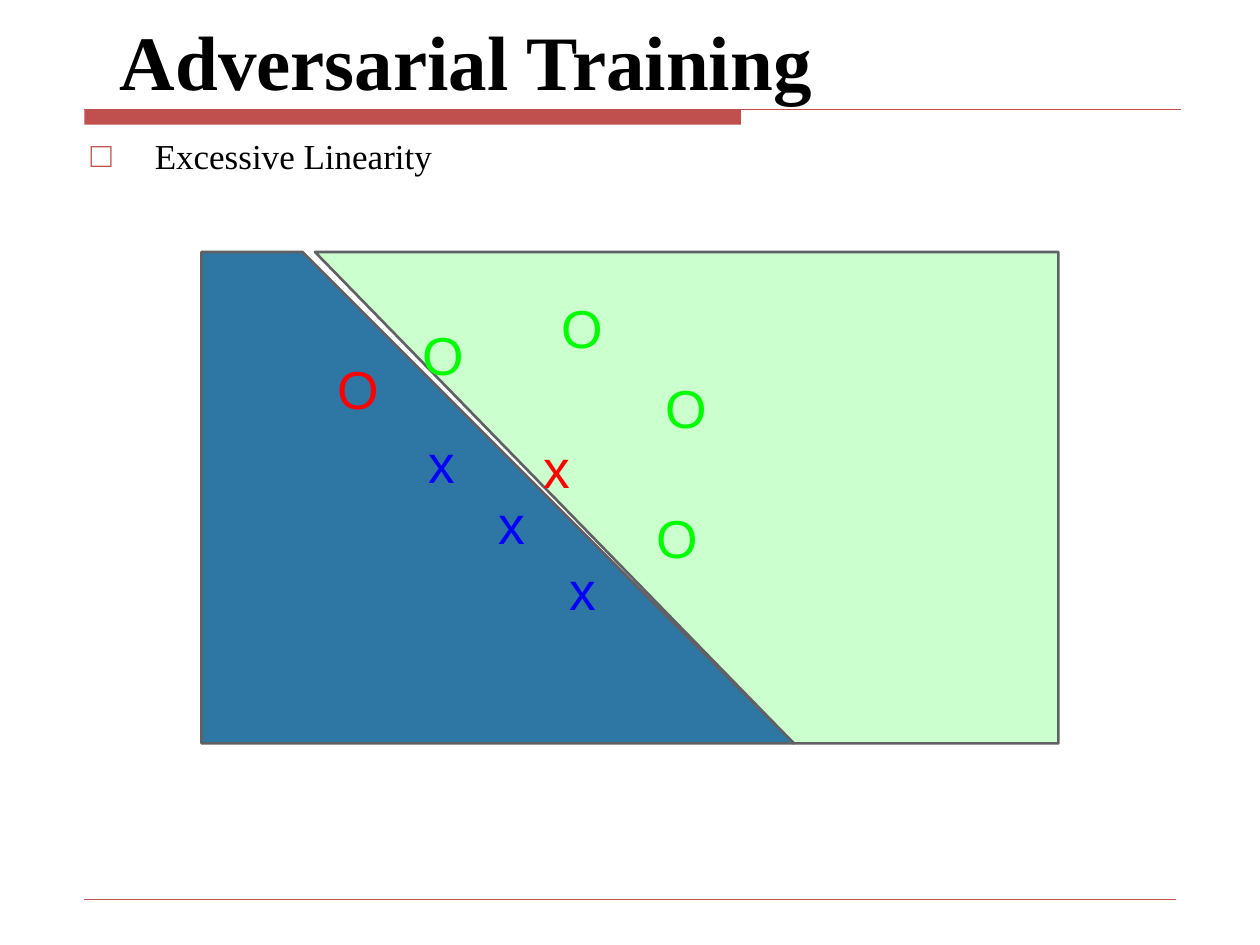
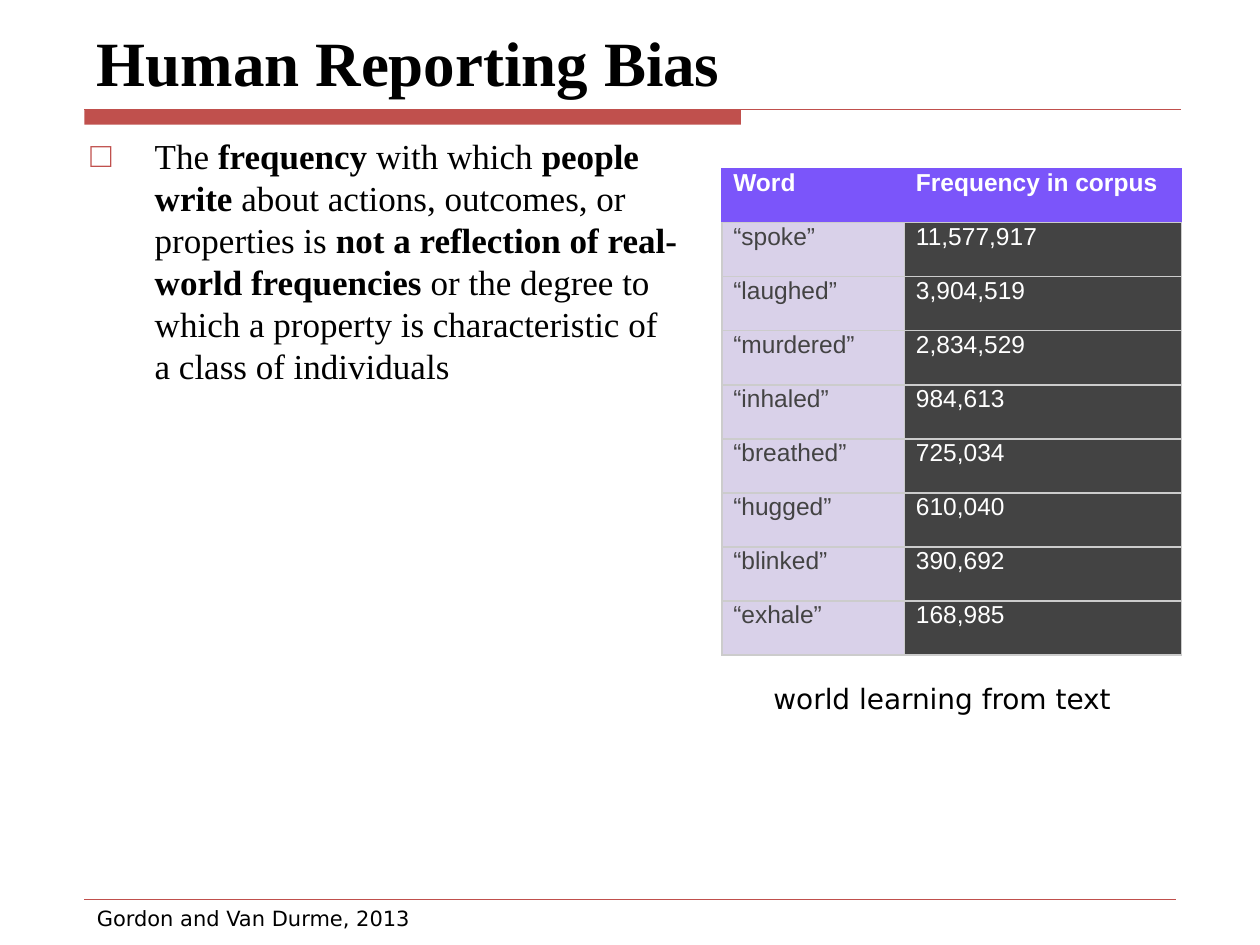
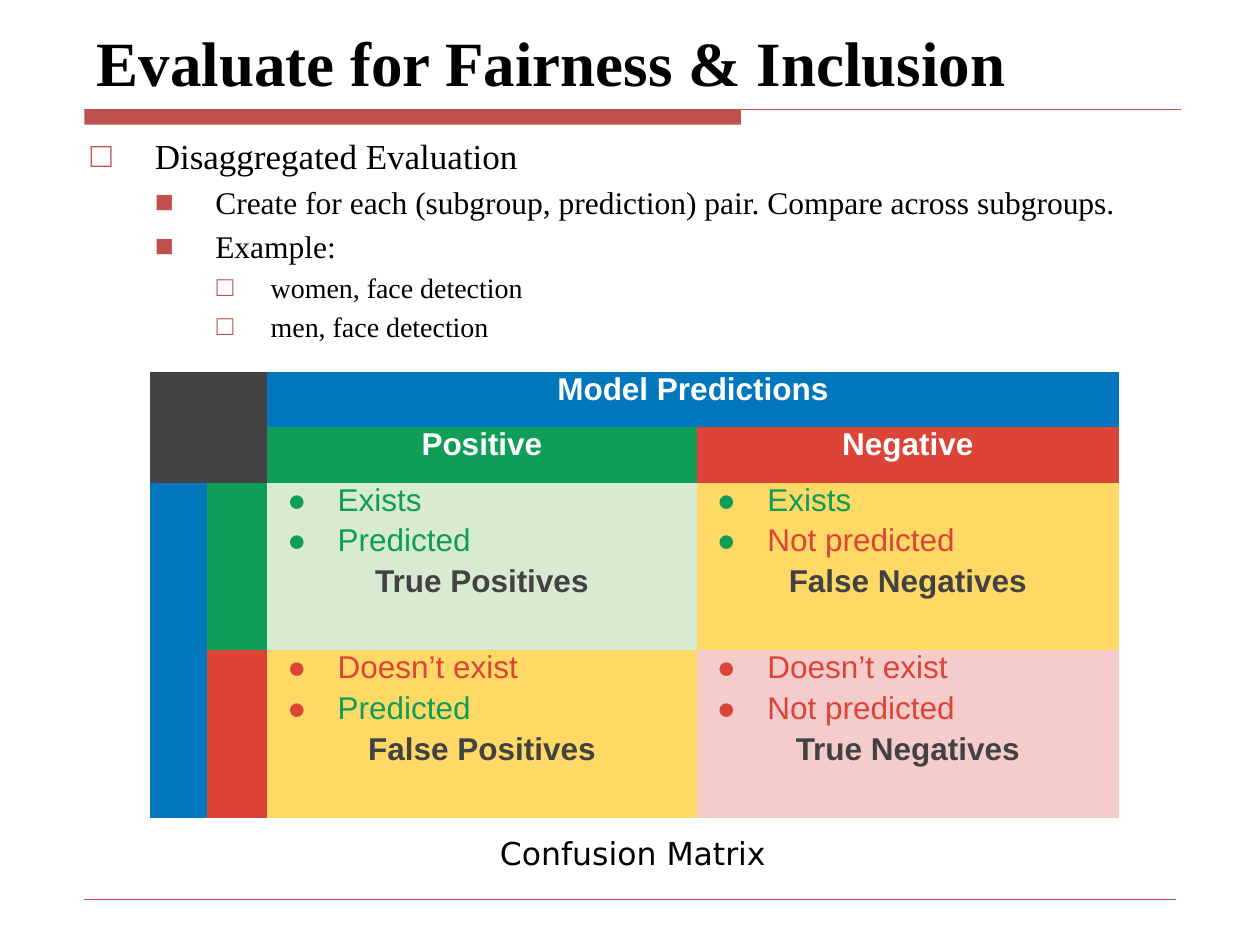
from dataclasses import dataclass

from lxml import etree
from pptx import Presentation
from pptx.dml.color import RGBColor
from pptx.enum.shapes import MSO_CONNECTOR, MSO_SHAPE
from pptx.enum.text import MSO_ANCHOR, PP_ALIGN
from pptx.oxml.ns import qn
from pptx.util import Emu, Inches, Pt

RECTANGLE = MSO_SHAPE.RECTANGLE
STRAIGHT = MSO_CONNECTOR.STRAIGHT
TOP, BOTTOM = MSO_ANCHOR.TOP, MSO_ANCHOR.BOTTOM
LEFT, CENTER = PP_ALIGN.LEFT, PP_ALIGN.CENTER
PLAIN_TABLE_STYLE = "{2D5ABB26-0587-4C30-8999-92F81FD0307C}"


@dataclass(frozen=True)
class Theme:
    serif: str = "Times New Roman"
    sans: str = "Arial"
    caption: str = "DejaVu Sans"
    black: str = "000000"
    white: str = "FFFFFF"
    accent: str = "C0504D"
    outline: str = "5F6165"
    dark: str = "434343"
    summary: str = "424242"
    grid_line: str = "CCCCCC"
    purple: str = "7B55FA"
    lilac: str = "D9D1E9"
    sea: str = "2E76A4"
    mint: str = "CBFFCD"
    blue_mark: str = "0000FF"
    green_mark: str = "00FF00"
    red_mark: str = "FF0000"
    blue: str = "0277BD"
    green: str = "0F9D58"
    red: str = "DB4437"
    pale_green: str = "D9EAD3"
    yellow: str = "FFD966"
    pale_red: str = "F4CCCC"
    title_size: float = 36
    large_title_size: float = 44
    body_sizes: tuple = (20, 18, 16)
    mark_size: float = 30.5
    word_size: float = 14
    matrix_size: float = 18


THEME = Theme()

# The slide is a grid of 100 columns by 75 rows of square units
COLUMNS, ROWS = 100, 75
UNIT = Inches(10) // COLUMNS
MARGIN = 6.7
RULE_RIGHT = 93.7
BODY_TOP = 10.2

# Bullet character, left indent and hanging indent (grid units) by level
BULLETS = (("□", 5.1, 5.1), ("■", 9.9, 4.8), ("□", 14.3, 4.3))


def grid(units):
    return Emu(round(units * UNIT))


def rgb(value):
    return RGBColor.from_string(value)


def set_font(font, name, size, color, bold=False):
    font.name, font.size, font.bold = name, Pt(size), bold
    font.color.rgb = rgb(color)


def add_bullet(paragraph, character, indent, hanging, color, font_name):
    properties = paragraph._p.get_or_add_pPr()
    properties.set("marL", str(grid(indent)))
    properties.set("indent", str(-grid(hanging)))
    bullet_color = etree.SubElement(properties, qn("a:buClr"))
    etree.SubElement(bullet_color, qn("a:srgbClr"), val=color)
    etree.SubElement(properties, qn("a:buFont"), typeface=font_name)
    etree.SubElement(properties, qn("a:buChar"), char=character)


def paragraphs_for(frame, count):
    """Give the frame exactly this many paragraphs."""
    return [frame.paragraphs[0]] + [frame.add_paragraph() for _ in range(count - 1)]


# Text elements
def add_frame(slide, left, top, width, height, wrap=True, anchor=TOP, inset=None):
    box = slide.shapes.add_textbox(*map(grid, (left, top, width, height)))
    frame = box.text_frame
    frame.word_wrap, frame.vertical_anchor = wrap, anchor
    if inset is not None:
        frame.margin_left = grid(inset)
        frame.margin_right = frame.margin_top = frame.margin_bottom = 0
    return frame


def add_label(slide, text, left, top, width, height, font, size, color, **options):
    paragraph = add_frame(slide, left, top, width, height, **options).paragraphs[0]
    paragraph.text = text
    set_font(paragraph.font, font, size, color, options.get("anchor") == BOTTOM)
    return paragraph


def add_caption(slide, text, left, top, width, height, size):
    add_label(slide, text, left, top, width, height, THEME.caption, size,
              THEME.black, wrap=False)


def add_title(slide, text, size=THEME.title_size, inset=None):
    add_label(slide, text, MARGIN, 2.1, 87.4, 6.3, THEME.serif, size,
              THEME.black, anchor=BOTTOM, inset=inset)


def add_body(slide, items, width=87.5):
    """Each item is a level and its text pieces; every second piece is bold."""
    frame = add_frame(slide, 6.2, BODY_TOP, width, 60.4)
    for index, (paragraph, (level, *pieces)) in enumerate(
            zip(paragraphs_for(frame, len(items)), items)):
        size = THEME.body_sizes[level]
        paragraph.level = level
        if index:
            paragraph.space_before = Pt(0.2 * size)
        add_bullet(paragraph, *BULLETS[level], THEME.accent, THEME.serif)
        set_font(paragraph.font, THEME.serif, size, THEME.black)
        for position, piece in enumerate(pieces):
            run = paragraph.add_run()
            run.text = piece
            if position % 2:
                run.font.bold = True


# Lines and outlines
def add_line(slide, start, end, color, width):
    line = slide.shapes.add_connector(STRAIGHT, *map(grid, start + end))
    line.line.color.rgb, line.line.width = rgb(color), Pt(width)
    etree.SubElement(line._element.spPr, qn("a:effectLst"))


def add_region(slide, points, fill):
    builder = slide.shapes.build_freeform(*points[0], scale=UNIT)
    builder.add_line_segments(points[1:], close=True)
    shape = builder.convert_to_shape()
    shape.shadow.inherit = False
    shape.fill.solid()
    shape.fill.fore_color.rgb = rgb(fill)
    shape.line.color.rgb, shape.line.width = rgb(THEME.outline), Pt(1.5)


def add_slide(presentation):
    """Add a blank slide with the title band and the footer rule."""
    slide = presentation.slides.add_slide(presentation.slide_layouts[6])
    band = slide.shapes.add_shape(RECTANGLE, *map(grid, (MARGIN, 8.7, 52.1, 1.2)))
    band.shadow.inherit = False
    band.fill.solid()
    band.fill.fore_color.rgb = rgb(THEME.accent)
    band.line.fill.background()
    add_line(slide, (MARGIN, 8.7), (RULE_RIGHT, 8.7), THEME.accent, 0.75)
    add_line(slide, (MARGIN, 71.4), (93.3, 71.4), THEME.accent, 0.25)
    return slide


# Tables
def add_plain_table(slide, left, top, widths, heights):
    frame = slide.shapes.add_table(
        len(heights), len(widths),
        *map(grid, (left, top, sum(widths), sum(heights))))
    table = frame.table
    table.first_row = table.horz_banding = False
    table._tbl.tblPr.find(qn("a:tableStyleId")).text = PLAIN_TABLE_STYLE
    for column, width in zip(table.columns, widths):
        column.width = grid(width)
    for row, height in zip(table.rows, heights):
        row.height = grid(height)
    return table


def set_borders(cell, color):
    properties = cell._tc.get_or_add_tcPr()
    for side in ("lnL", "lnR", "lnT", "lnB"):
        line = etree.SubElement(properties, qn(f"a:{side}"), w=str(Pt(0.75)))
        fill = etree.SubElement(line, qn("a:solidFill"))
        etree.SubElement(fill, qn("a:srgbClr"), val=color)


def style_cell(cell, fill, inset=0):
    cell.margin_left = grid(inset)
    cell.margin_right = cell.margin_top = cell.margin_bottom = 0
    cell.fill.solid()
    cell.fill.fore_color.rgb = rgb(fill)


def write_cell(cell, text, size, color, bold=False, alignment=LEFT):
    paragraph = cell.text_frame.paragraphs[0]
    paragraph.text, paragraph.alignment = text, alignment
    set_font(paragraph.font, THEME.sans, size, color, bold)


def add_word_table(slide, rows):
    table = add_plain_table(slide, 57.3, 13.4, (14.5, 22), [4.29] * len(rows))
    for row_index, row in enumerate(rows):
        header = row_index == 0
        styles = ([(THEME.purple, THEME.white)] * 2 if header else
                  [(THEME.lilac, THEME.dark), (THEME.dark, THEME.white)])
        for column_index, (text, (fill, color)) in enumerate(zip(row, styles)):
            cell = table.cell(row_index, column_index)
            set_borders(cell, THEME.purple if header else THEME.grid_line)
            style_cell(cell, fill, inset=0.9)
            write_cell(cell, text, THEME.word_size, color, header)


def write_outcome(cell, truth, prediction, summary, bullet_color):
    """Two coloured bullets and a centred bold summary."""
    lines = (truth, prediction, (summary, THEME.summary))
    paragraphs = paragraphs_for(cell.text_frame, len(lines))
    for index, (paragraph, (text, color)) in enumerate(zip(paragraphs, lines)):
        is_summary = index == len(lines) - 1
        paragraph.text = text
        if index:
            paragraph.space_before = Pt(3.1)
        if is_summary:
            paragraph.alignment = CENTER
        else:
            add_bullet(paragraph, "●", 5.6, 4, bullet_color, THEME.sans)
        set_font(paragraph.font, THEME.sans, THEME.matrix_size, color, is_summary)


def add_confusion_matrix(slide):
    table = add_plain_table(slide, 11.9, 29.5, (4.5, 4.8, 34.1, 33.5),
                            (4.4, 4.4, 13.3, 13.3))
    for first, last in (((0, 0), (1, 1)), ((0, 2), (0, 3)), ((2, 0), (3, 0))):
        table.cell(*first).merge(table.cell(*last))

    fills = (
        (THEME.dark, THEME.dark, THEME.blue, THEME.blue),
        (THEME.dark, THEME.dark, THEME.green, THEME.red),
        (THEME.blue, THEME.green, THEME.pale_green, THEME.yellow),
        (THEME.blue, THEME.red, THEME.yellow, THEME.pale_red),
    )
    for row_index, row in enumerate(fills):
        for column_index, fill in enumerate(row):
            style_cell(table.cell(row_index, column_index), fill)

    headings = ((0, 2, "Model Predictions"), (1, 2, "Positive"), (1, 3, "Negative"))
    for row, column, text in headings:
        write_cell(table.cell(row, column), text, THEME.matrix_size,
                   THEME.white, True, CENTER)

    truths = (("Exists", THEME.green), ("Doesn’t exist", THEME.red))
    predictions = (("Predicted", THEME.green), ("Not predicted", THEME.red))
    summaries = (("True Positives", "False Negatives"),
                 ("False Positives", "True Negatives"))
    for row, truth in enumerate(truths):
        for column, prediction in enumerate(predictions):
            write_outcome(table.cell(row + 2, column + 2), truth, prediction,
                          summaries[row][column], truth[1])


# Slides
def build_adversarial_training(presentation):
    slide = add_slide(presentation)
    add_title(slide, "Adversarial Training", THEME.large_title_size, inset=2.8)
    add_body(slide, [(0, "Excessive Linearity")])
    add_region(slide, [(24.6, 20.2), (63.3, 58.8), (84.3, 58.8), (84.3, 20.4)],
               THEME.mint)
    add_region(slide, [(24.1, 20.2), (15.7, 20.2), (15.7, 58.7), (62.8, 58.7)],
               THEME.sea)
    marks = (
        ("x", THEME.blue_mark, [(34, 34.1), (39.6, 39), (45.2, 44.2)]),
        ("O", THEME.green_mark,
         [(33.5, 25.6), (44.6, 23.4), (52.8, 29.8), (52.1, 40.1)]),
        ("O", THEME.red_mark, [(26.8, 28.3)]),
        ("x", THEME.red_mark, [(43.1, 34.5)]),
    )
    for letter, color, places in marks:
        for left, top in places:
            add_label(slide, letter, left, top, 2.8, 4.2, THEME.sans,
                      THEME.mark_size, color, inset=0)


def build_reporting_bias(presentation):
    slide = add_slide(presentation)
    add_title(slide, "Human Reporting Bias")
    add_body(slide, [(
        0, "The ", "frequency", " with which ", "people write",
        " about actions, outcomes, or properties is ",
        "not a reflection of real-world frequencies",
        " or the degree to which a property is characteristic of a class of "
        "individuals")], width=48.6)
    add_caption(slide, "Gordon and Van Durme, 2013", MARGIN, 71.4, 27.5, 3, 12)
    add_word_table(slide, (
        ("Word", "Frequency in corpus"),
        ("“spoke”", "11,577,917"),
        ("“laughed”", "3,904,519"),
        ("“murdered”", "2,834,529"),
        ("“inhaled”", "984,613"),
        ("“breathed”", "725,034"),
        ("“hugged”", "610,040"),
        ("“blinked”", "390,692"),
        ("“exhale”", "168,985"),
    ))
    add_caption(slide, "world learning from text", 60.4, 53.6, 30.3, 3.7, 16)


def build_fairness_evaluation(presentation):
    slide = add_slide(presentation)
    add_title(slide, "Evaluate for Fairness & Inclusion")
    add_body(slide, [
        (0, "Disaggregated Evaluation"),
        (1, "Create for each (subgroup, prediction) pair. Compare across subgroups."),
        (1, "Example:"),
        (2, "women, face detection"),
        (2, "men, face detection"),
    ])
    add_confusion_matrix(slide)
    add_caption(slide, "Confusion Matrix", 38.7, 65.7, 23.3, 4, 18)


def main():
    presentation = Presentation()
    presentation.slide_width, presentation.slide_height = grid(COLUMNS), grid(ROWS)
    build_adversarial_training(presentation)
    build_reporting_bias(presentation)
    build_fairness_evaluation(presentation)
    presentation.save("out.pptx")


if __name__ == "__main__":
    main()
